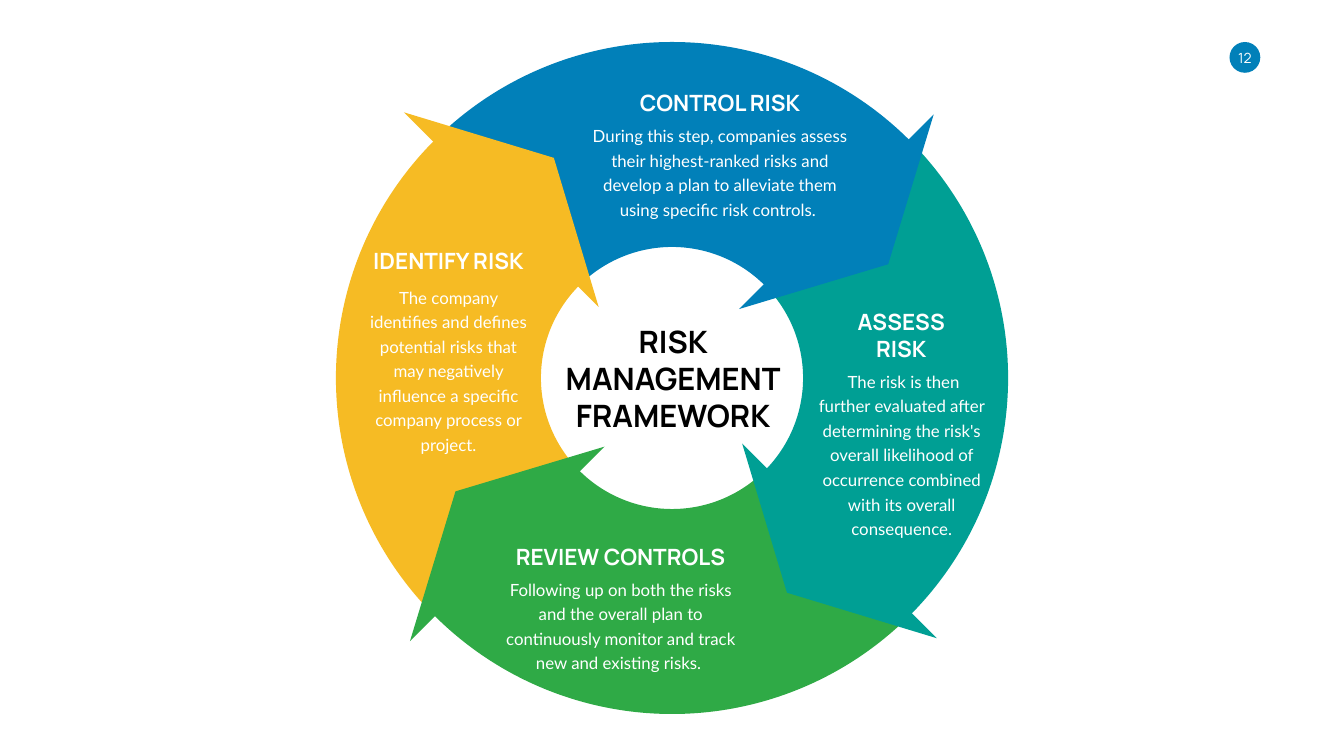
"""Build the risk management framework slide: a ring of four arrow segments."""
from dataclasses import dataclass
from math import cos, radians, sin, tan

from pptx import Presentation
from pptx.dml.color import RGBColor
from pptx.enum.shapes import MSO_SHAPE
from pptx.enum.text import MSO_ANCHOR, MSO_AUTO_SIZE, PP_ALIGN
from pptx.oxml.ns import qn
from pptx.oxml.xmlchemy import OxmlElement
from pptx.util import Pt


@dataclass(frozen=True)
class Theme:
    blue: str = "0180B9"
    teal: str = "009F94"
    green: str = "2FAA46"
    yellow: str = "F6BB24"
    white: str = "FFFFFF"
    black: str = "000000"
    heading_font: str = "Manrope"
    body_font: str = "Lato"
    title_size: int = 44
    heading_size: int = 32
    body_size: int = 24
    number_size: int = 20
    body_leading: int = 35


CENTER_X, CENTER_Y = 959.8, 540
OUTER_RADIUS, INNER_RADIUS = 480, 187.2
HEAD_SIZE = 278
HEAD_POINTS = [(0, 0), (HEAD_SIZE, HEAD_SIZE), (214, 65)]
CURVE_STARTS = (0, 3, 7, 10)


def write_text(shape, text, *, font, size, color, bold=False, leading=None,
               anchor=MSO_ANCHOR.TOP, wrap=True):
    frame = shape.text_frame
    frame.word_wrap = wrap
    frame.auto_size = MSO_AUTO_SIZE.SHAPE_TO_FIT_TEXT
    frame.vertical_anchor = anchor
    frame.text = text
    for para in frame.paragraphs:
        para.alignment = PP_ALIGN.CENTER
        if leading:
            para.line_spacing = Pt(leading)
        for span in para.runs:
            span.font.name = font
            span.font.size = Pt(size)
            span.font.bold = bold
            span.font.color.rgb = RGBColor.from_string(color)


def quarter_arc(radius, start, direction):
    """Return the start point and the control and end points of two Bezier curves."""
    step = 45 * direction
    handle = 4 / 3 * tan(radians(step) / 4)

    def point(angle, offset=0):
        turn = radians(angle)
        return (CENTER_X + radius * (cos(turn) - offset * sin(turn)),
                CENTER_Y + radius * (sin(turn) + offset * cos(turn)))

    points = [point(start)]
    for angle in (start, start + step):
        points += [point(angle, handle), point(angle + step, -handle), point(angle + step)]
    return points


def turn_in_square(points, quarter_turns):
    for _ in range(quarter_turns):
        points = [(HEAD_SIZE - y, x) for x, y in points]
    return points


class SlideBuilder:
    def __init__(self, page, theme):
        self.page = page
        self.theme = theme

    def paint(self, shape, color):
        shape.shadow.inherit = False
        shape.fill.solid()
        shape.fill.fore_color.rgb = RGBColor.from_string(color)
        shape.line.fill.background()

    def outline(self, points, color):
        first, *others = [(Pt(x), Pt(y)) for x, y in points]
        builder = self.page.shapes.build_freeform(*first)
        builder.add_line_segments(others, close=True)
        shape = builder.convert_to_shape()
        self.paint(shape, color)
        return shape

    def segment(self, start, color):
        points = quarter_arc(OUTER_RADIUS, start, 1) + quarter_arc(INNER_RADIUS, start + 90, -1)
        shape = self.outline(points, color)
        lines = list(shape.element.iter(qn("a:lnTo")))
        for index in CURVE_STARTS:
            curve = OxmlElement("a:cubicBezTo")
            lines[index].addprevious(curve)
            for line in lines[index:index + 3]:
                curve.append(line[0])
                line.getparent().remove(line)

    def arrowhead(self, left, top, quarter_turns, color):
        points = turn_in_square(HEAD_POINTS, quarter_turns)
        self.outline([(left + x, top + y) for x, y in points], color)

    def text_box(self, area, text, **style):
        box = self.page.shapes.add_textbox(*map(Pt, area))
        write_text(box, text, **style)
        return box

    def title(self, area, text):
        self.text_box(area, text, font=self.theme.heading_font, size=self.theme.title_size,
                      color=self.theme.black, bold=True, anchor=MSO_ANCHOR.MIDDLE, wrap=False)

    def heading(self, area, text, wrap):
        self.text_box(area, text, font=self.theme.heading_font, size=self.theme.heading_size,
                      color=self.theme.white, bold=True, anchor=MSO_ANCHOR.BOTTOM, wrap=wrap)

    def body(self, area, text):
        self.text_box(area, text, font=self.theme.body_font, size=self.theme.body_size,
                      color=self.theme.white, leading=self.theme.body_leading)

    def number_badge(self, badge_area, number_area, text):
        self.paint(self.page.shapes.add_shape(MSO_SHAPE.OVAL, *map(Pt, badge_area)),
                   self.theme.blue)
        box = self.text_box(number_area, text, font=self.theme.heading_font,
                            size=self.theme.number_size, color=self.theme.white,
                            anchor=MSO_ANCHOR.MIDDLE, wrap=False)
        frame = box.text_frame
        frame.margin_left = frame.margin_right = frame.margin_top = frame.margin_bottom = 0


def main():
    theme = Theme()
    deck = Presentation()
    deck.slide_width, deck.slide_height = Pt(1919.5), Pt(1080)
    slide = SlideBuilder(deck.slides.add_slide(deck.slide_layouts[6]), theme)

    slide.number_badge((1756, 60, 44, 44), (1763.3, 69.8, 29.5, 24.5), "12")

    ring = [
        (45, theme.green, (585.5, 638), 3),
        (-45, theme.teal, (1060, 633.75), 2),
        (-135, theme.blue, (1055.5, 163.5), 1),
        (135, theme.yellow, (577, 160.5), 0),
    ]
    for start, color, _, _ in ring:
        slide.segment(start, color)
    for _, color, corner, quarter_turns in reversed(ring):
        slide.arrowhead(*corner, quarter_turns, color)

    slide.title((793.5, 456.5, 336, 167), "RISK\nMANAGEMENT\nFRAMEWORK")

    steps = [
        ("IDENTIFY RISK", (522, 348.5, 237, 46), False, (514, 401.2, 253, 251),
         "The company identifies and defines potential risks that may negatively "
         "influence a specific company process or project."),
        ("CONTROL RISK", (903.5, 123.6, 250, 46), False, (832.5, 170, 391.5, 145),
         "During this step, companies assess their highest-ranked risks and develop "
         "a plan to alleviate them using specific risk controls. "),
        ("ASSESS RISK", (1180, 475.2, 214.5, 46), True, (1161.3, 521.2, 253, 251),
         " The risk is then further evaluated after determining the risk's overall "
         "likelihood of occurrence combined with its overall consequence."),
        ("REVIEW CONTROLS", (726.5, 772, 319.5, 46), False, (713, 818, 347, 145),
         "Following up on both the risks and the overall plan to continuously "
         "monitor and track new and existing risks. "),
    ]
    for name, name_area, wrap, _, _ in steps:
        slide.heading(name_area, name, wrap)
    for _, _, _, detail_area, detail in steps:
        slide.body(detail_area, detail)

    deck.save("out.pptx")


if __name__ == "__main__":
    main()
